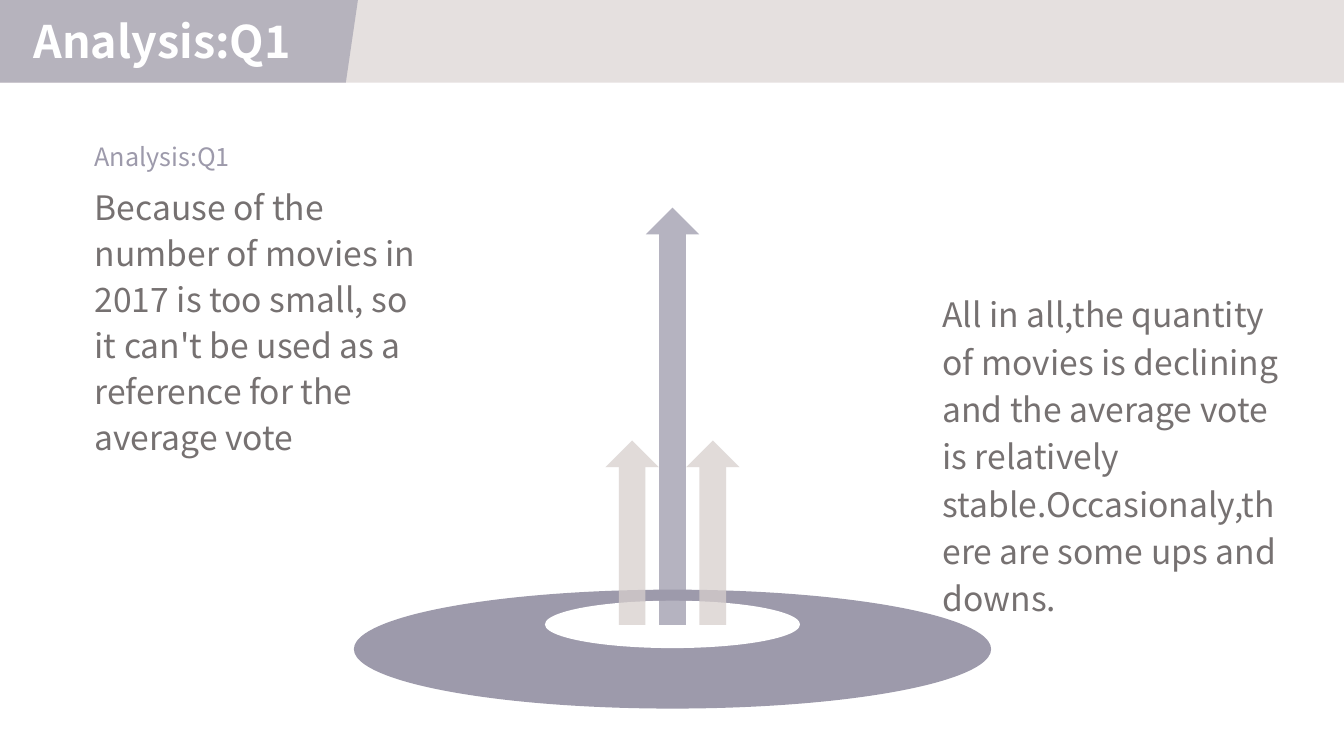
import pptx
import pptx.util
import pptx.dml.color
import pptx.enum.shapes
import pptx.enum.text
from lxml import etree

Inches = pptx.util.Inches
Pt = pptx.util.Pt
RGBColor = pptx.dml.color.RGBColor
SHAPE = pptx.enum.shapes.MSO_SHAPE
ALIGN = pptx.enum.text.PP_ALIGN

MAUVE = RGBColor(0x9D, 0x9A, 0xAB)
SAND = RGBColor(0xD7, 0xCF, 0xCD)
GREY = RGBColor(0x76, 0x71, 0x71)
WHITE = RGBColor(0xFF, 0xFF, 0xFF)
FONT = "Noto Sans CJK SC"
WIDE, HIGH = 13.33, 7.5
BAR = 0.82
MID = 6.67
FOOT = 6.2


def paint(shape, color, alpha=100):
    """Fill without line or shadow; alpha is opacity in percent."""
    shape.shadow.inherit = False
    shape.line.fill.background()
    shape.fill.solid()
    shape.fill.fore_color.rgb = color
    if alpha < 100:
        tint = shape.fill._xPr.find(".//" + pptx.oxml.ns.qn("a:srgbClr"))
        node = etree.SubElement(tint, pptx.oxml.ns.qn("a:alpha"))
        node.set("val", str(alpha * 1000))


def add_form(slide, kind, left, top, width, height, color, alpha=100):
    shape = slide.shapes.add_shape(
        kind, Inches(left), Inches(top), Inches(width), Inches(height))
    paint(shape, color, alpha)


def add_tab(slide):
    """Slanted tab behind the title."""
    pen = slide.shapes.build_freeform(0, 0, scale=Inches(1) / 100)
    pen.add_line_segments([(355, 0), (343, 82), (0, 82)], close=True)
    paint(pen.convert_to_shape(), MAUVE, 64)


def add_ring(slide, top, width, height, color):
    add_form(slide, SHAPE.OVAL, MID - width / 2, top, width, height, color)


def add_arrow(slide, shift, top, color):
    """Up arrow standing on the ring, shifted from the middle."""
    width = 0.53
    add_form(slide, SHAPE.UP_ARROW, MID + shift - width / 2, top,
             width, FOOT - top, color, 75)


def add_text(slide, text, left, top, width, height, size, color,
             wrap=True, pitch=None, bold=False, align=ALIGN.LEFT):
    box = slide.shapes.add_textbox(
        Inches(left), Inches(top), Inches(width), Inches(height))
    frame = box.text_frame
    frame.word_wrap = wrap
    frame.text = text
    para = frame.paragraphs[0]
    para.alignment = align
    if pitch:
        para.line_spacing = Pt(pitch)
    font = para.runs[0].font
    font.name = FONT
    font.size = Pt(size)
    font.bold = bold
    font.color.rgb = color


def main():
    deck = pptx.Presentation()
    deck.slide_width = Inches(WIDE)
    deck.slide_height = Inches(HIGH)
    slide = deck.slides.add_slide(deck.slide_layouts[6])

    add_form(slide, SHAPE.RECTANGLE, 0, 0, WIDE, BAR, SAND, 63)
    add_tab(slide)
    add_text(slide, "Analysis:Q1", 0.21, 0.09, 2.8, 0.64, 32, WHITE,
             wrap=False, bold=True, align=ALIGN.CENTER)

    add_ring(slide, 5.85, 6.32, 1.18, MAUVE)
    add_ring(slide, 5.96, 2.53, 0.47, WHITE)
    add_arrow(slide, 0, 2.06, MAUVE)
    for shift in (0.4, -0.4):
        add_arrow(slide, shift, 4.37, SAND)

    add_text(slide, "Analysis:Q1", 0.84, 1.35, 1.58, 0.4, 18, MAUVE,
             wrap=False)
    add_text(slide, "Because of the number of movies in 2017 is too small, "
             "so it can't be used as a reference for the average vote",
             0.84, 1.75, 3.42, 3.32, 24, GREY, pitch=32.8)
    add_text(slide, "All in all,the quantity of movies is declining and the "
             "average vote is relatively stable.Occasionaly,there are some "
             "ups and downs.",
             9.25, 2.8, 3.66, 3.89, 24, GREY, pitch=33.8)

    deck.save("out.pptx")


if __name__ == "__main__":
    main()
